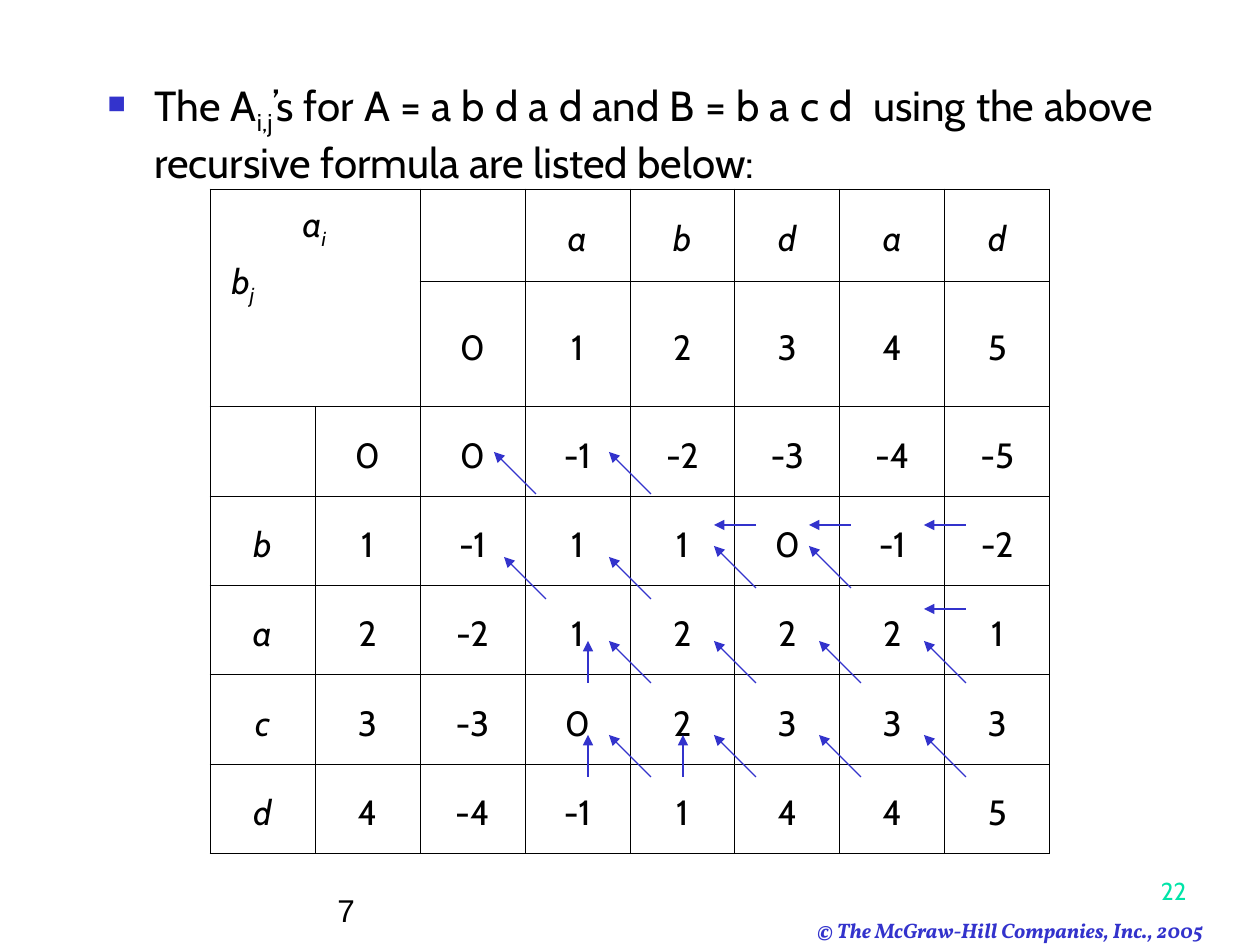
from lxml import etree
from pptx import Presentation
from pptx import util as u
from pptx.dml.color import RGBColor
from pptx.enum import shapes, text
from pptx.oxml.ns import qn

PX = 914400 / 126
INK, BLUE, GREEN = "000000", "3333CC", "00E4A8"
rgb = RGBColor.from_string


def px(length):
    return u.Emu(round(length * PX))


def add_run(paragraph, words, size, color=INK, face="Cabin", italic=False, bold=False, sub=False):
    run = paragraph.add_run()
    run.text = words
    font = run.font
    font.size, font.name, font.italic, font.bold = u.Pt(size), face, italic, bold
    font.color.rgb = rgb(color)
    if sub:
        font._element.set("baseline", "-25000")


deck = Presentation()
deck.slide_width, deck.slide_height = px(1260), px(945)
slide = deck.slides.add_slide(deck.slide_layouts[6])

frames = []
for left, top, width, height, anchor, align, wrap in [
    (805, 911, 464, 38, text.MSO_ANCHOR.TOP, text.PP_ALIGN.LEFT, False),
    (95, 73, 1071, 567, text.MSO_ANCHOR.TOP, text.PP_ALIGN.JUSTIFY, True),
    (325, 872, 683, 63, text.MSO_ANCHOR.BOTTOM, text.PP_ALIGN.LEFT, True),
    (937, 849, 262, 63, text.MSO_ANCHOR.BOTTOM, text.PP_ALIGN.RIGHT, True),
]:
    frame = slide.shapes.add_textbox(px(left), px(top), px(width), px(height)).text_frame
    frame.vertical_anchor, frame.word_wrap = anchor, wrap
    frame.paragraphs[0].alignment = align
    frames.append(frame.paragraphs[0])
copyright_line, statement, footer, page_number = frames

add_run(copyright_line, "© The McGraw-Hill Companies, Inc., 2005", 12, BLUE, "Vollkorn", italic=True, bold=True)
add_run(footer, "7", 18, face="Arial")
add_run(page_number, "22", 14, GREEN)

bullet = statement._p.get_or_add_pPr()
bullet.set("marL", str(px(47)))
bullet.set("indent", str(-px(47)))
bullet_color = etree.SubElement(bullet, qn("a:buClr"))
etree.SubElement(bullet_color, qn("a:srgbClr"), val=BLUE)
etree.SubElement(bullet, qn("a:buSzPct"), val="60000")
etree.SubElement(bullet, qn("a:buChar"), char="■")
add_run(statement, "The A", 24)
add_run(statement, "i,j", 24, sub=True)
add_run(statement, "’s for A = a b d a d and B = b a c d  using the above recursive formula are listed below:", 24)

scores = [
    ["", "", "", "a", "b", "d", "a", "d"],
    ["", "", "0", "1", "2", "3", "4", "5"],
    ["", "0", "0", "-1", "-2", "-3", "-4", "-5"],
    ["b", "1", "-1", "1", "1", "0", "-1", "-2"],
    ["a", "2", "-2", "1", "2", "2", "2", "1"],
    ["c", "3", "-3", "0", "2", "3", "3", "3"],
    ["d", "4", "-4", "-1", "1", "4", "4", "5"],
]
row_heights = [92, 124, 90, 89, 89, 90, 89]
grid = slide.shapes.add_table(7, 8, px(210), px(189), px(840), px(sum(row_heights))).table
grid.first_row = grid.horz_banding = False
for column in grid.columns:
    column.width = px(105)
for row, height in zip(grid.rows, row_heights):
    row.height = px(height)

for r, row in enumerate(scores):
    for c, score in enumerate(row):
        cell = grid.cell(r, c)
        cell.margin_top = px(15)
        cell.vertical_anchor = text.MSO_ANCHOR.MIDDLE
        for side in ("a:lnL", "a:lnR", "a:lnT", "a:lnB"):
            border = etree.SubElement(cell._tc.get_or_add_tcPr(), qn(side), w=str(u.Pt(0.45)))
            border_fill = etree.SubElement(border, qn("a:solidFill"))
            etree.SubElement(border_fill, qn("a:srgbClr"), val=INK)
        cell.fill.background()
        if score:
            paragraph = cell.text_frame.paragraphs[0]
            paragraph.alignment = text.PP_ALIGN.CENTER
            add_run(paragraph, score, 20, italic=score.isalpha())

corner = grid.cell(0, 0)
corner.merge(grid.cell(1, 1))
corner.vertical_anchor = text.MSO_ANCHOR.TOP
column_label = corner.text_frame.paragraphs[0]
row_label = corner.text_frame.add_paragraph()
row_label.space_before = u.Pt(5)
for label, letter, index, indent in [(column_label, "a", "i", 80), (row_label, "b", "j", 9)]:
    label._p.get_or_add_pPr().set("marL", str(px(indent)))
    add_run(label, letter, 20, italic=True)
    add_run(label, index, 20, italic=True, sub=True)

STEP = 42
diagonal_starts = [
    (536, 494), (651, 494), (546, 599), (651, 599), (756, 588), (851, 588),
    *[(x, y) for y in (683, 777) for x in range(651, 967, 105)],
]
upward_starts = [(588, 683), (588, 777), (683, 777)]
leftward_starts = [(756, 525), (851, 525), (966, 525), (966, 609)]
for starts, dx, dy in [
    (diagonal_starts, STEP, STEP),
    (upward_starts, 0, STEP),
    (leftward_starts, STEP, 0),
]:
    for x, y in starts:
        arrow = slide.shapes.add_connector(
            shapes.MSO_CONNECTOR.STRAIGHT, px(x), px(y), px(x - dx), px(y - dy))
        arrow.line.color.rgb = rgb(BLUE)
        arrow.line.width = u.Pt(0.75)
        etree.SubElement(arrow.line._get_or_add_ln(), qn("a:tailEnd"), type="triangle")
        etree.SubElement(arrow._element.spPr, qn("a:effectLst"))

deck.save("out.pptx")
